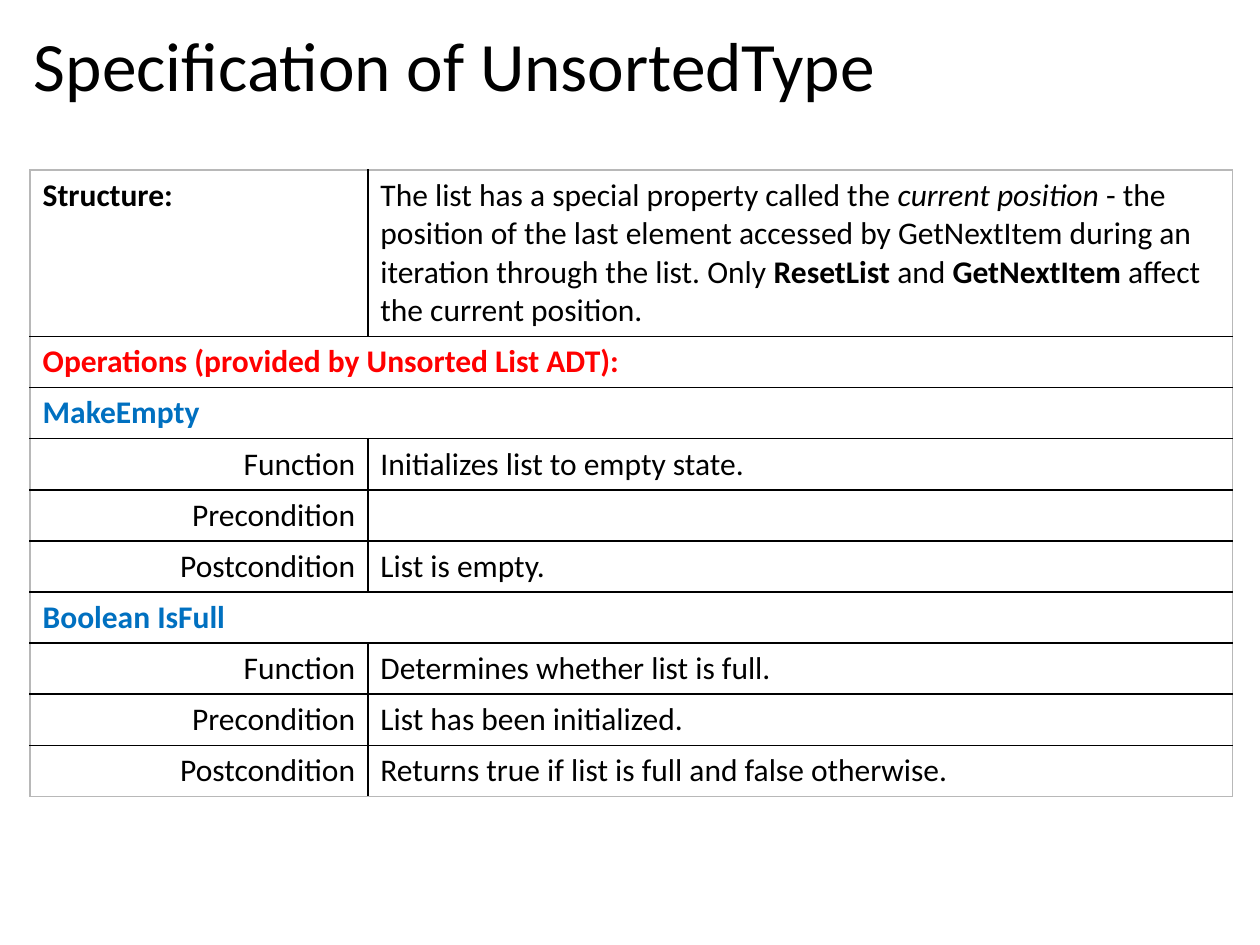
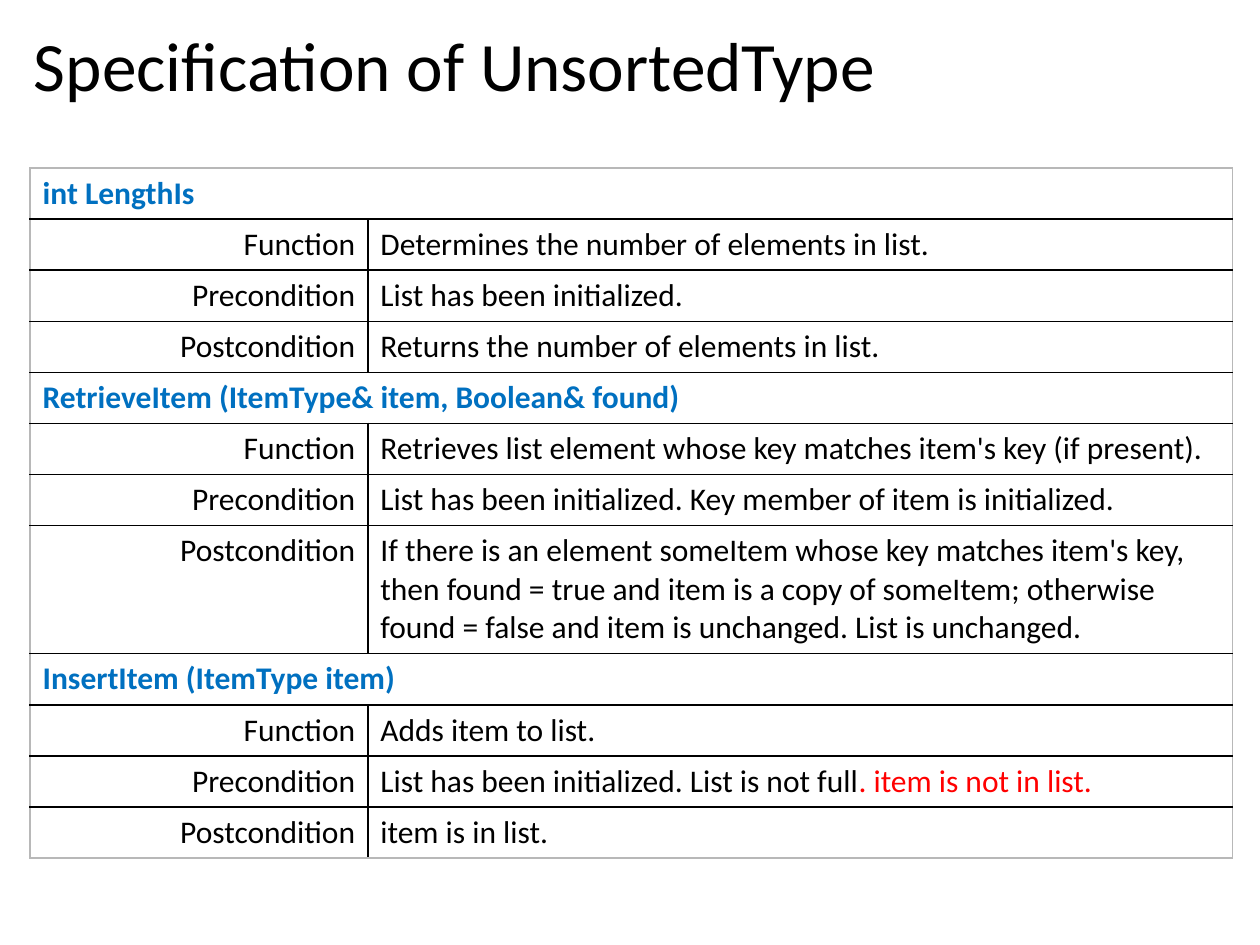
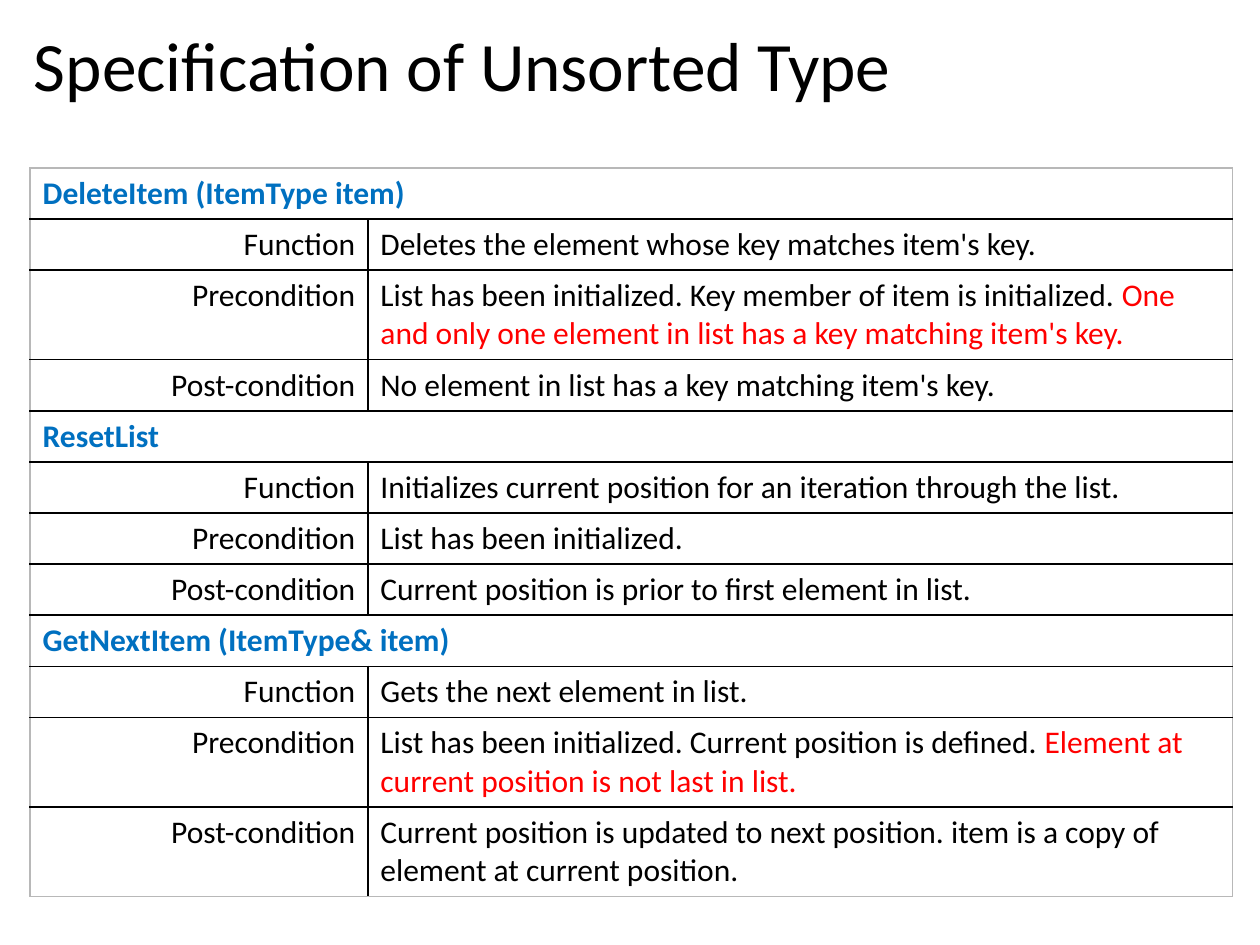
from lxml import etree
from pptx import Presentation
from pptx.dml.color import RGBColor
from pptx.enum.text import MSO_ANCHOR, MSO_AUTO_SIZE, PP_ALIGN
from pptx.oxml.ns import qn
from pptx.util import Pt

LEFT, RIGHT = PP_ALIGN.LEFT, PP_ALIGN.RIGHT
MIDDLE = MSO_ANCHOR.MIDDLE
NO_AUTOFIT = MSO_AUTO_SIZE.NONE
TITLE_ONLY = 5

BLACK = RGBColor(0, 0, 0)
WHITE = RGBColor(255, 255, 255)
RED = RGBColor(255, 0, 0)
BLUE = RGBColor(0, 0x70, 0xC0)
GRAY = RGBColor(0xB8, 0xB8, 0xB8)

ROW_HEIGHT = 29.2
COLUMN_WIDTHS = (193, 494)
TABLE_LEFT = 17.2

PLAIN, BOLD, ITALIC, WARNING = {}, {"bold": True}, {"italic": True}, {"color": RED}


class SpecificationDeck:
    font_name = "Calibri"
    title_size = 39.6
    body_size = 18

    def __init__(self):
        self.presentation = Presentation()
        self.presentation.slide_width = Pt(720)
        self.presentation.slide_height = Pt(540)
        self.slide = None

    def new_slide(self, heading):
        layout = self.presentation.slide_layouts[TITLE_ONLY]
        self.slide = self.presentation.slides.add_slide(layout)
        title = self.slide.shapes.title
        title.left, title.top = Pt(12.2), Pt(13)
        title.width, title.height = Pt(692.6), Pt(53.3)
        frame = title.text_frame
        frame.auto_size = NO_AUTOFIT
        frame.vertical_anchor = MIDDLE
        self.set_text(frame, [(heading, PLAIN)], self.title_size)
        frame.paragraphs[0].line_spacing = 0.9

    def set_text(self, frame, runs, size, color=BLACK, bold=False, align=LEFT):
        paragraph = frame.paragraphs[0]
        paragraph.alignment = align
        font = paragraph.font
        font.name, font.size, font.bold = self.font_name, Pt(size), bold
        font.color.rgb = color
        for text, style in runs:
            run = paragraph.add_run()
            run.text = text
            if "bold" in style:
                run.font.bold = True
            if "italic" in style:
                run.font.italic = True
            if "color" in style:
                run.font.color.rgb = style["color"]

    def border(self, cell, **side_colors):
        properties = cell._tc.get_or_add_tcPr()
        for position, (side, color) in enumerate(side_colors.items()):
            line = etree.Element(qn(f"a:{side}"), w=str(Pt(1)))
            fill = etree.SubElement(line, qn("a:solidFill"))
            etree.SubElement(fill, qn("a:srgbClr"), val=str(color))
            properties.insert(position, line)

    def specification_table(self, top, rows):
        last = len(rows) - 1
        table = self.slide.shapes.add_table(
            len(rows), 2, Pt(TABLE_LEFT), Pt(top),
            Pt(sum(COLUMN_WIDTHS)), Pt(ROW_HEIGHT * len(rows))).table
        table.first_row = table.horz_banding = False
        for column, width in zip(table.columns, COLUMN_WIDTHS):
            column.width = Pt(width)
        for index, row in enumerate(rows):
            table.rows[index].height = Pt(ROW_HEIGHT)
            label_cell, detail_cell = table.cell(index, 0), table.cell(index, 1)
            spans = len(row) == 1
            inner = GRAY if spans else BLACK
            above = BLACK if index else GRAY
            below = BLACK if index < last else GRAY
            self.border(label_cell, lnL=GRAY, lnR=inner, lnT=above, lnB=below)
            self.border(detail_cell, lnL=inner, lnR=GRAY, lnT=above, lnB=below)
            for cell in (label_cell, detail_cell):
                cell.fill.solid()
                cell.fill.fore_color.rgb = WHITE
            if spans:
                label_cell.merge(detail_cell)
            for cell, (runs, style) in zip((label_cell, detail_cell), row):
                self.set_text(cell.text_frame, runs, self.body_size, **style)


def band(text, color=BLUE):
    return [([(text, PLAIN)], {"color": color, "bold": True})]


def entry(label, details, **label_style):
    runs = [(details, PLAIN)] if isinstance(details, str) else details
    return [([(label, PLAIN)], label_style), (runs, {})]


def operation(signature, function, precondition, postcondition,
              post_label="Postcondition"):
    labels = ("Function", "Precondition", post_label)
    details = (function, precondition, postcondition)
    return [band(signature)] + [
        entry(label, detail, align=RIGHT) for label, detail in zip(labels, details)]


INITIALIZED = "List has been initialized."
HYPHENATED = "Post-condition"

STRUCTURE = entry("Structure:", [
    ("The list has a special property called the ", PLAIN),
    ("current position ", ITALIC),
    ("- the position of the last element accessed by GetNextItem during an "
     "iteration through the list. Only ", PLAIN),
    ("ResetList ", BOLD),
    ("and ", PLAIN),
    ("GetNextItem", BOLD),
    (" affect the current position.", PLAIN)], bold=True)

SLIDES = [
    ("Specification of UnsortedType", 97.2, [
        STRUCTURE,
        band("Operations (provided by Unsorted List ADT):", RED),
        *operation("MakeEmpty", "Initializes list to empty state.", [],
                   "List is empty."),
        *operation("Boolean IsFull", "Determines whether list is full.",
                   INITIALIZED,
                   "Returns true if list is full and false otherwise.")]),
    ("Specification of UnsortedType", 96, [
        *operation("int LengthIs", "Determines the number of elements in list.",
                   INITIALIZED, "Returns the number of elements in list."),
        *operation("RetrieveItem (ItemType& item, Boolean& found)",
                   "Retrieves list element whose key matches item's key (if present).",
                   f"{INITIALIZED} Key member of item is initialized.",
                   "If there is an element someItem whose key matches item's key, "
                   "then found = true and item is a copy of someItem; otherwise "
                   "found = false and item is unchanged. List is unchanged."),
        *operation("InsertItem (ItemType item)", "Adds item to list.",
                   [(f"{INITIALIZED} List is not full", PLAIN),
                    (". item is not in list.", WARNING)],
                   "item is in list.")]),
    ("Specification of Unsorted Type", 96, [
        *operation("DeleteItem (ItemType item)",
                   "Deletes the element whose key matches item's key.",
                   [(f"{INITIALIZED} Key member of item is initialized. ", PLAIN),
                    ("One and only one element in list has a key matching "
                     "item's key.", WARNING)],
                   "No element in list has a key matching item's key.", HYPHENATED),
        *operation("ResetList",
                   "Initializes current position for an iteration through the list.",
                   INITIALIZED,
                   "Current position is prior to first element in list.", HYPHENATED),
        *operation("GetNextItem (ItemType& item)", "Gets the next element in list.",
                   [(f"{INITIALIZED} Current position is defined. ", PLAIN),
                    ("Element at current position is not last in list.", WARNING)],
                   "Current position is updated to next position. item is a copy of "
                   "element at current position.", HYPHENATED)]),
]


def main():
    deck = SpecificationDeck()
    for heading, table_top, rows in SLIDES:
        deck.new_slide(heading)
        deck.specification_table(table_top, rows)
    deck.presentation.save("out.pptx")


if __name__ == "__main__":
    main()
